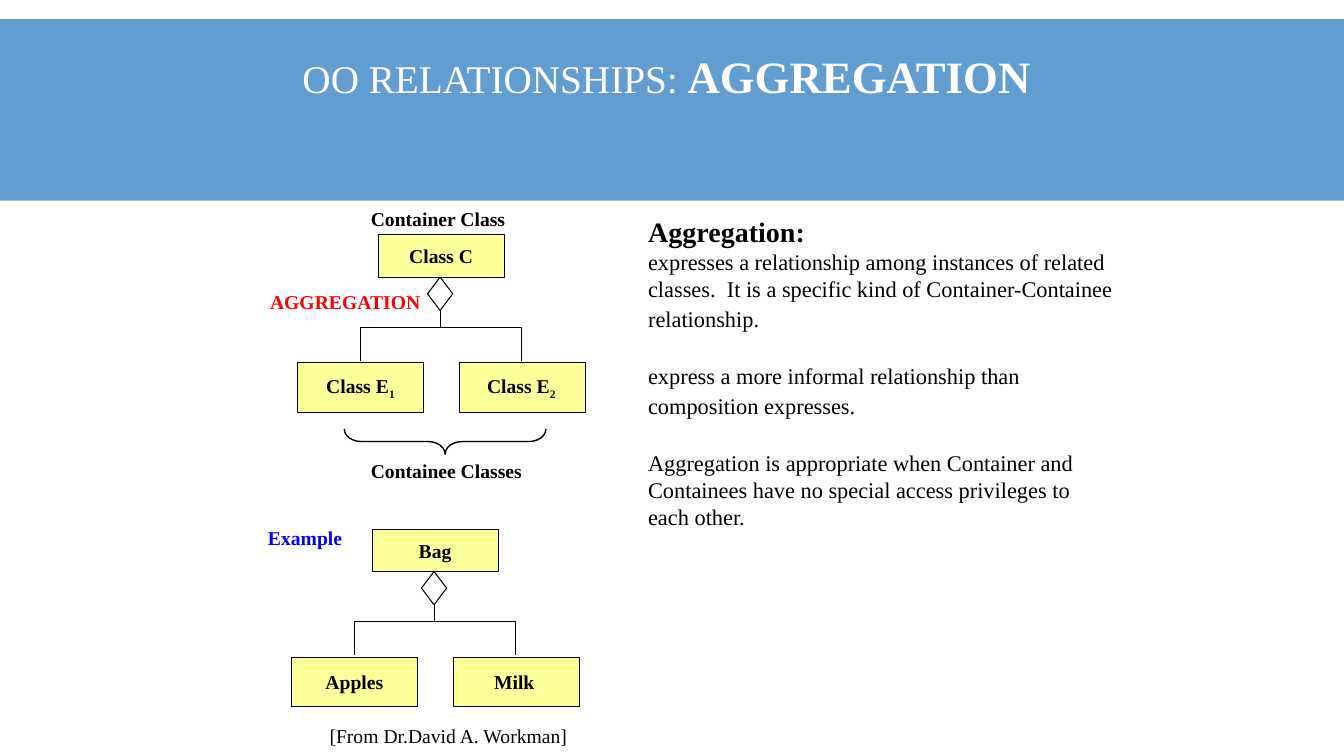
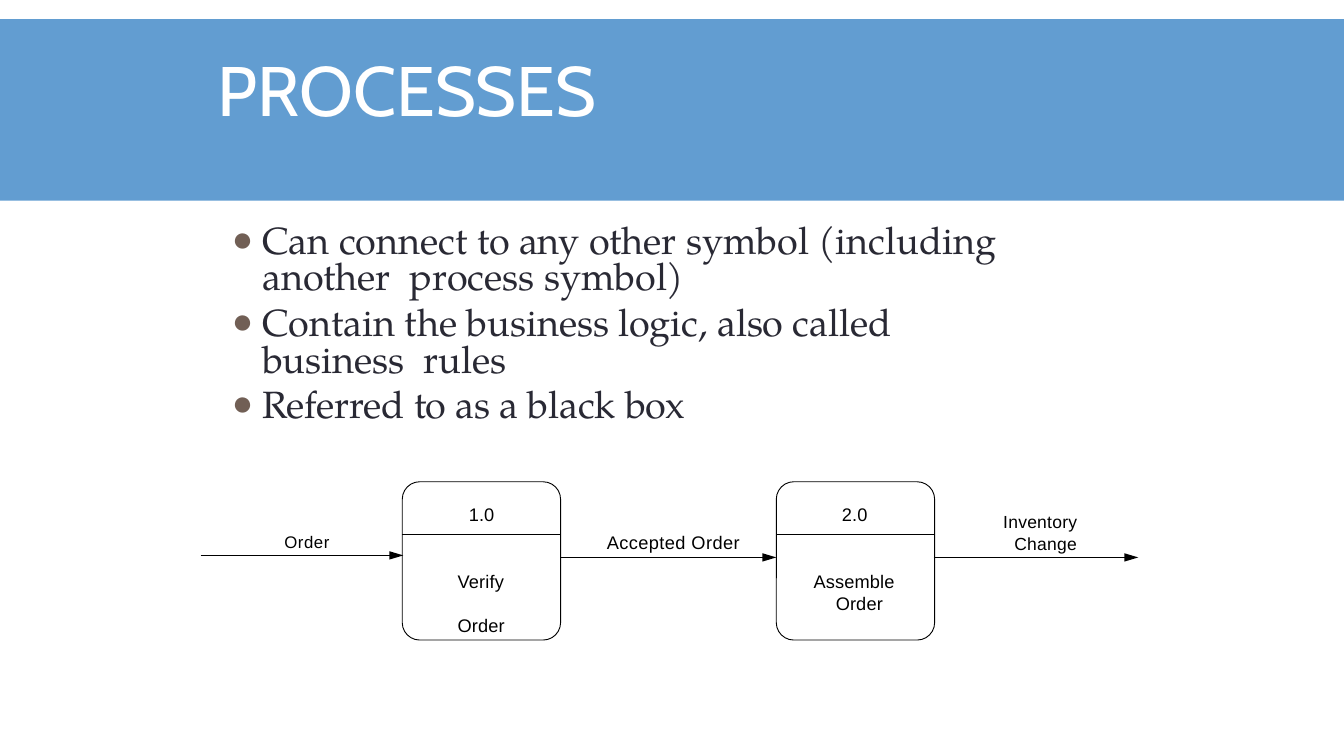
from lxml import etree
from pptx import Presentation
from pptx.dml.color import RGBColor
from pptx.enum import shapes as kinds, text
from pptx.oxml.ns import qn
from pptx.util import Inches, Pt

BLACK, WHITE, BAND, YELLOW = "000000", "FFFFFF", "629DD1", "FFFF99"
RED, BLUE, INK, BULLET = "FF0000", "0000FF", "292934", "715F55"
SERIF, SANS, TITLE_FONT, BODY_FONT = (
    "Times New Roman", "Arial", "Cabin", "TeX Gyre Pagella")
LEFT, CENTER = text.PP_ALIGN.LEFT, text.PP_ALIGN.CENTER
TOP, MIDDLE = text.MSO_ANCHOR.TOP, text.MSO_ANCHOR.MIDDLE
NO_INSETS, INSETS = (0, 0, 0, 0), (0.1, 0.05, 0.1, 0.05)

# Class trees: offset of the tree, parent name, then (child, subscript)
TREES = [
    ((0, 0), "Class C", [("Class E", "1"), ("Class E", "2 ")]),
    ((-0.06, 2.92), "Bag", [("Apples", ""), ("Milk ", "")]),
]
# Text, box, colour, bold
CLASS_LABELS = [
    ("AGGREGATION", (2.58, 2.83, 1.7, 0.33), RED, True),
    ("Container Class", (3.58, 2, 1.54, 0.33), BLACK, True),
    ("Containee Classes", (3.58, 4.5, 1.7, 0.33), BLACK, True),
    ("Example", (2.56, 5.17, 0.94, 0.33), BLUE, True),
    ("[From Dr.David A. Workman]", (3.17, 7.13, 2.94, 0.33), BLACK, False),
]
# Runs of (text, size, bold), space before
EXPLANATION = [
    ([("Aggregation:", 20, True)], 0),
    ([("expresses a relationship among instances of related classes.  "
       "It is a specific kind of Container-Containee relationship.", 16, False),
      (" ", 18, False)], 0),
    ([("express a more informal relationship than composition expresses.",
       16, False), (" ", 18, False)], 21.5),
    ([("Aggregation is appropriate when Container and Containees have no "
       "special access privileges to each other.", 16, False)], 21.5),
]
# Text, line spacing, space before, letter spacing
PROCESS_POINTS = [
    ("Can connect to any other symbol (including another  process symbol)",
     Pt(26), 0, -0.04),
    ("Contain the business logic, also called business  rules",
     0.8, 6.7, -0.05),
    ("Referred to as a black box", 1.0, 0, -0.1),
]
PROCESS_TOP, PROCESS_SIZE, DIVIDER_Y = 4.78, 1.57, 5.3
PROCESS_LEFTS = [3.99, 7.7]
# From x, to x, y
FLOWS = [(1.99, 4, 5.51), (5.56, 7.7, 5.53), (9.26, 11.29, 5.53)]
# Lines of (text, indent, space before), left, top, size, letter spacing
FLOW_LABELS = [
    ([("1.0", 0, 0)], 4.65, 4.99, 13, 0.1),
    ([("Verify", 0, 0), ("Order", 0, 15.5)], 4.54, 5.65, 13, 0.1),
    ([("2.0", 0, 0)], 8.35, 4.99, 13, 0.1),
    ([("Assemble", 0, 0), ("Order", 0.22, 0)], 8.07, 5.65, 13, 0.1),
    ([("Order", 0, 0)], 2.82, 5.27, 12, 0.4),
    ([("Accepted Order", 0, 0)], 6.02, 5.27, 13, 0.3),
    ([("Inventory", 0, 0), ("Change", 0.11, 0)], 9.95, 5.07, 12.5, 0.2),
]


def inches(*values):
    return [Inches(value) for value in values]


def color(hex_string):
    return RGBColor.from_string(hex_string)


def set_frame(shape, wrap=True, anchor=TOP, insets=INSETS):
    frame = shape.text_frame
    left, top, right, bottom = inches(*insets)
    settings = dict(word_wrap=wrap, vertical_anchor=anchor,
                    auto_size=text.MSO_AUTO_SIZE.NONE, margin_left=left,
                    margin_top=top, margin_right=right, margin_bottom=bottom)
    for name, value in settings.items():
        setattr(frame, name, value)
    return frame


def next_paragraph(frame, **settings):
    """Return the empty first paragraph of a frame, or a new one."""
    paragraph = frame.paragraphs[0]
    if paragraph.runs:
        paragraph = frame.add_paragraph()
    settings = {"alignment": LEFT, "space_before": Pt(0), **settings}
    for name, value in settings.items():
        setattr(paragraph, name, value)
    return paragraph


def add_run(paragraph, words, size, font=SERIF, ink=BLACK, bold=False,
            spacing=0, baseline=0):
    run = paragraph.add_run()
    run.text = words
    for name, value in dict(size=Pt(size), name=font, bold=bold).items():
        setattr(run.font, name, value)
    run.font.color.rgb = color(ink)
    properties = run._r.get_or_add_rPr()
    for name, value in dict(spc=round(spacing * 100), baseline=baseline).items():
        if value:
            properties.set(name, str(value))


def style_shape(shape, fill=None, line=BLACK, width=0.75):
    shape.shadow.inherit = False
    if fill:
        shape.fill.solid()
        shape.fill.fore_color.rgb = color(fill)
    else:
        shape.fill.background()
    if line:
        shape.line.color.rgb = color(line)
        shape.line.width = Pt(width)
    else:
        shape.line.fill.background()
    return shape


def add_shape(slide, kind, box, **style):
    shape = slide.shapes.add_shape(kind, *inches(*box))
    return style_shape(shape, **style)


def add_line(slide, start, end, width, arrow=False):
    connector = slide.shapes.add_connector(
        kinds.MSO_CONNECTOR.STRAIGHT, *inches(*start, *end))
    connector.line.color.rgb = color(BLACK)
    connector.line.width = Pt(width)
    properties = connector._element.spPr
    if arrow:
        etree.SubElement(properties.find(qn("a:ln")), qn("a:tailEnd"),
                         type="triangle", w="med", len="lg")
    etree.SubElement(properties, qn("a:effectLst"))
    return connector


def add_text_box(slide, box, **frame_settings):
    return set_frame(slide.shapes.add_textbox(*inches(*box)), **frame_settings)


def add_slide(presentation, title_box, title_runs, insets=INSETS):
    """Add a slide with the title band behind its formatted title."""
    slide = presentation.slides.add_slide(presentation.slide_layouts[5])
    band = add_shape(slide, kinds.MSO_SHAPE.RECTANGLE, (0, 0.19, 13.33, 1.8),
                     fill=BAND, line=None)
    title = slide.shapes.title
    title._element.addprevious(band._element)
    title.left, title.top, title.width, title.height = inches(*title_box)
    frame = set_frame(title, anchor=MIDDLE, insets=insets)
    paragraph = next_paragraph(frame, line_spacing=0.85)
    for words, settings in title_runs:
        add_run(paragraph, words, ink=WHITE, **settings)
    return slide


def add_class_box(slide, box, name, subscript=""):
    shape = add_shape(slide, kinds.MSO_SHAPE.RECTANGLE, box, fill=YELLOW)
    frame = set_frame(shape, wrap=False, anchor=MIDDLE)
    paragraph = next_paragraph(frame, alignment=CENTER)
    add_run(paragraph, name, 14, bold=True)
    if subscript:
        add_run(paragraph, subscript, 14, bold=True, baseline=-25000)


def add_class_tree(slide, offset, parent, children):
    dx, dy = offset
    add_class_box(slide, (3.75 + dx, 2.33 + dy, 1.25, 0.42), parent)
    for index, (name, subscript) in enumerate(children):
        left = 2.95 + 1.61 * index + dx
        add_class_box(slide, (left, 3.6 + dy, 1.25, 0.49), name, subscript)

    corners = [(3.58, 3.58), (3.58, 3.25), (5.17, 3.25), (5.17, 3.58)]
    points = [inches(x + dx, y + dy) for x, y in corners]
    builder = slide.shapes.build_freeform(*points[0])
    builder.add_line_segments(points[1:], close=False)
    style_shape(builder.convert_to_shape())

    diamond = add_shape(slide, kinds.MSO_SHAPE.DIAMOND,
                        (4.24 + dx, 2.75 + dy, 0.25, 0.33))
    stem_x = 4.365 + dx
    stem = add_line(slide, (stem_x, 3.08 + dy), (stem_x, 3.25 + dy), 0.75)
    stem.begin_connect(diamond, 2)


def build_aggregation(presentation):
    slide = add_slide(presentation, (2.9, 0.5, 8.5, 0.58), [
        ("OO RELATIONSHIPS: ", dict(size=28)),
        ("AGGREGATION", dict(size=32, bold=True))])
    for tree in TREES:
        add_class_tree(slide, *tree)
    brace = add_shape(slide, kinds.MSO_SHAPE.LEFT_BRACE,
                      (4.29, 3.38, 0.25, 2), width=1)
    brace.rotation = 270
    brace.adjustments[0] = 0.67
    for words, box, ink, bold in CLASS_LABELS:
        frame = add_text_box(slide, box, wrap=False)
        add_run(next_paragraph(frame), words, 14, ink=ink, bold=bold)
    frame = add_text_box(slide, (6.33, 2.08, 4.83, 3.24))
    for runs, before in EXPLANATION:
        paragraph = next_paragraph(frame, space_before=Pt(before))
        for words, size, bold in runs:
            add_run(paragraph, words, size, bold=bold)


def add_bullet(paragraph):
    properties = paragraph._p.get_or_add_pPr()
    properties.set("marL", str(Inches(0.31)))
    properties.set("indent", str(Inches(-0.3)))
    bullet_color = etree.SubElement(properties, qn("a:buClr"))
    etree.SubElement(bullet_color, qn("a:srgbClr"), val=BULLET)
    etree.SubElement(properties, qn("a:buSzPct"), val="94000")
    etree.SubElement(properties, qn("a:buFont"), typeface=SANS)
    etree.SubElement(properties, qn("a:buChar"), char="●")


def build_processes(presentation):
    slide = add_slide(presentation, (2.16, 0.45, 4.17, 0.86), [
        ("PROCESSES", dict(size=50, font=TITLE_FONT, spacing=-0.1))], NO_INSETS)
    slide.shapes.title.text_frame.paragraphs[0].line_spacing = 1.0

    frame = add_text_box(slide, (2.29, 2.14, 7.95, 2.1), insets=(0, 0.1, 0, 0))
    for words, line_spacing, before, spacing in PROCESS_POINTS:
        paragraph = next_paragraph(frame, line_spacing=line_spacing,
                                   space_before=Pt(before))
        add_bullet(paragraph)
        add_run(paragraph, words, 27, BODY_FONT, INK, spacing=spacing)

    for left in PROCESS_LEFTS:
        box = add_shape(slide, kinds.MSO_SHAPE.ROUNDED_RECTANGLE,
                        (left, PROCESS_TOP, PROCESS_SIZE, PROCESS_SIZE),
                        fill=WHITE, width=0.64)
        box.adjustments[0] = 0.11
        add_line(slide, (left, DIVIDER_Y), (left + PROCESS_SIZE, DIVIDER_Y), 0.32)
    for start, end, y in FLOWS:
        add_line(slide, (start, y), (end, y), 0.32, arrow=True)
    for lines, left, top, size, spacing in FLOW_LABELS:
        frame = add_text_box(slide, (left, top, 1.4, 0.22 * len(lines)),
                             wrap=False, insets=NO_INSETS)
        for words, indent, before in lines:
            paragraph = next_paragraph(frame, line_spacing=1.02,
                                       space_before=Pt(before))
            paragraph._p.get_or_add_pPr().set("marL", str(Inches(indent)))
            add_run(paragraph, words, size, SANS, spacing=spacing)


def main():
    presentation = Presentation()
    presentation.slide_width, presentation.slide_height = inches(13.33, 7.5)
    build_aggregation(presentation)
    build_processes(presentation)
    presentation.save("out.pptx")


if __name__ == "__main__":
    main()
